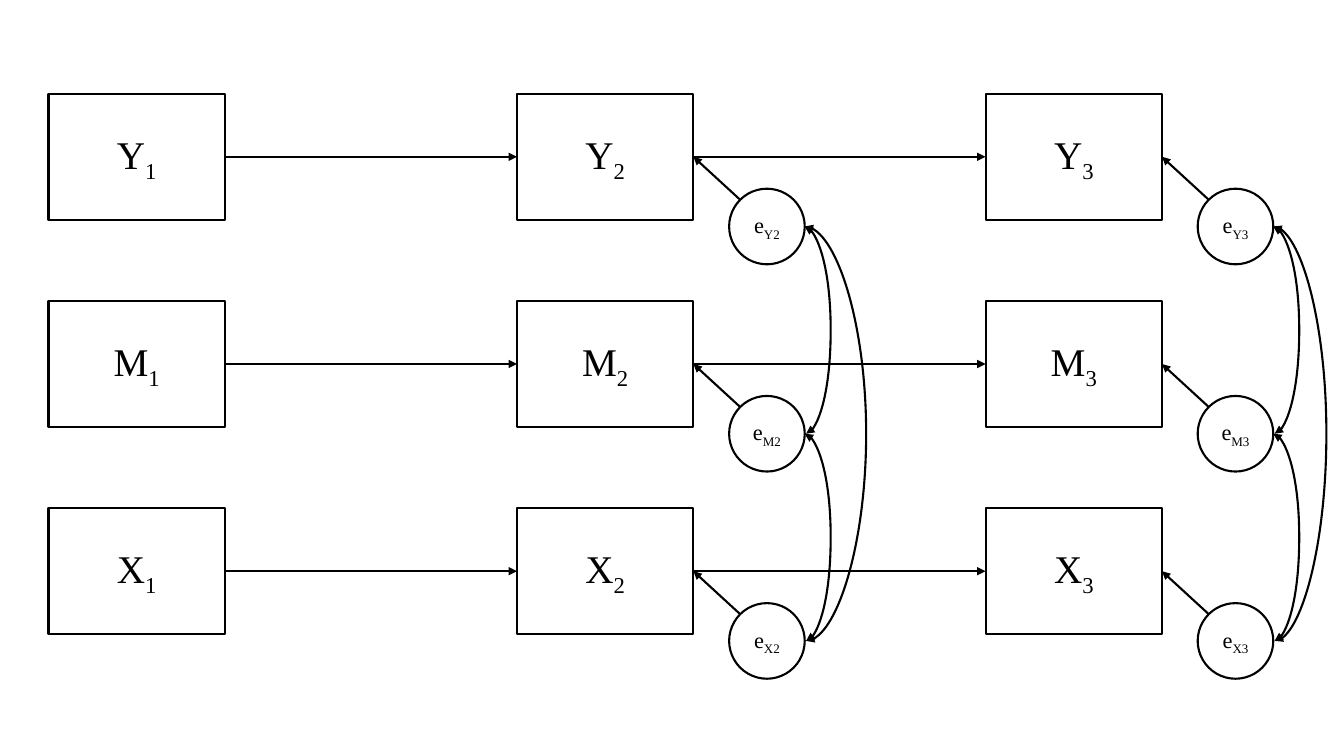
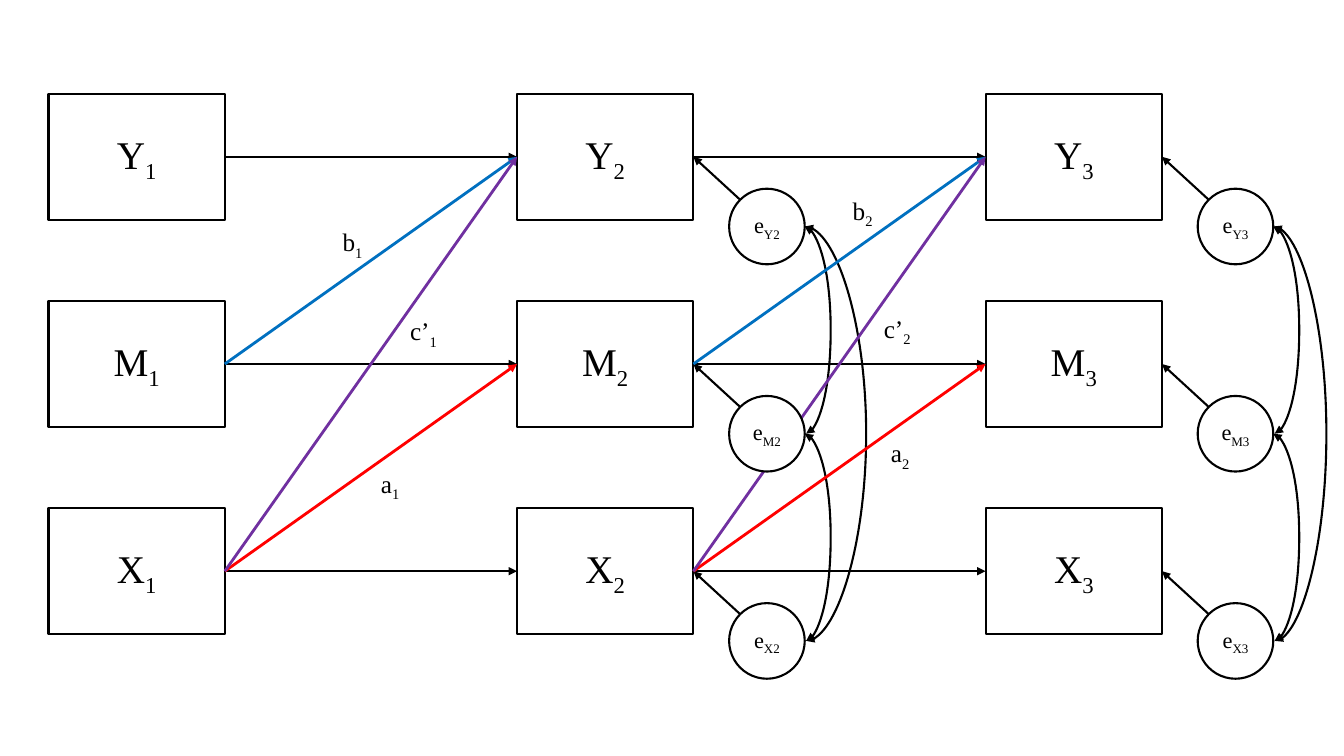
from lxml import etree
from pptx import Presentation
from pptx.dml.color import RGBColor
from pptx.enum.shapes import MSO_CONNECTOR, MSO_SHAPE
from pptx.enum.text import MSO_ANCHOR, PP_ALIGN
from pptx.oxml.ns import qn
from pptx.util import Pt

RECT, OVAL = MSO_SHAPE.RECTANGLE, MSO_SHAPE.OVAL
LINE, CURVE = MSO_CONNECTOR.STRAIGHT, MSO_CONNECTOR.CURVE
MIDDLE, CENTER = MSO_ANCHOR.MIDDLE, PP_ALIGN.CENTER

COLORS = {"black": "000000", "white": "FFFFFF", "red": "FF0000",
          "blue": "0070C0", "purple": "7030A0"}
FONT = "Times New Roman"
ROWS = ("Y", "M", "X")
WAVES = (1, 2, 3)

# Grid of boxes, and the error circles set off from each box
LEFT, TOP = 34.6, 67
STEP_X, STEP_Y = 334.7, 148
BOX_W, BOX_H = 126, 90
ROUND = 54
ERR_X, ERR_Y = BOX_W + 25.5, 67.8
CORNER = ROUND / 2 * (1 - 0.5 ** 0.5)

# Connection sites
BOX_LEFT, BOX_RIGHT = 1, 3
OVAL_CORNER, OVAL_RIGHT = 1, 6

# How far the curves swing out to the right
NEAR = 18.7
FAR = {2: 44.25, 3: 38.25}

# Effects: row from, row to, colour
EFFECTS = (("X", "M", "red"), ("M", "Y", "blue"), ("X", "Y", "purple"))

# Labels: letter, wave, left, top
LABELS = (
    ("a", 1, 265, 331), ("c’", 2, 624.2, 220.3), ("b", 2, 602, 136),
    ("a", 2, 629.3, 309), ("c’", 1, 285.8, 221.8), ("b", 1, 237.6, 158.4),
)


def color(name):
    return RGBColor.from_string(COLORS[name])


def corner(row, wave):
    """Top left point of a box."""
    return LEFT + (wave - 1) * STEP_X, TOP + ROWS.index(row) * STEP_Y


def style(target, values):
    for name, value in values.items():
        setattr(target, name, value)


def write(shape, base, sub, size, align=None):
    """Put a letter with a subscript into a shape."""
    para = shape.text_frame.paragraphs[0]
    para.alignment = align
    for text in (base, sub):
        run = para.add_run()
        run.text = text
        style(run.font, {"name": FONT, "size": Pt(size)})
        run.font.color.rgb = color("black")
    run.font._element.set("baseline", "-25000")


def node(slide, kind, frame, base, sub, size):
    """Outlined box or circle with centred text."""
    shape = slide.shapes.add_shape(kind, *map(Pt, frame))
    shape.shadow.inherit = False
    shape.fill.solid()
    shape.fill.fore_color.rgb = color("white")
    shape.line.color.rgb = color("black")
    shape.line.width = Pt(1.5)
    style(shape.text_frame, {
        "word_wrap": True, "vertical_anchor": MIDDLE,
        "margin_left": 0, "margin_right": 0})
    write(shape, base, sub, size, CENTER)
    return shape


def arrow(slide, kind, ends, tint="black", width=1.5, heads=("tailEnd",)):
    link = slide.shapes.add_connector(kind, *map(Pt, ends))
    link.line.color.rgb = color(tint)
    link.line.width = Pt(width)
    props = link._element.spPr
    for head in heads:
        etree.SubElement(props.find(qn("a:ln")), qn("a:" + head),
                         type="triangle")
    etree.SubElement(props, qn("a:effectLst"))
    return link


def glue(link, tag, shape, site):
    """Join a connector to a site of a circle."""
    part = link._element.find(".//" + qn("p:cNvCxnSpPr"))
    etree.SubElement(part, qn("a:" + tag), id=str(shape.shape_id),
                     idx=str(site))


def join(slide, start, end, **looks):
    """Straight arrow from one box to the next."""
    link = arrow(slide, LINE, (0, 0, 0, 0), **looks)
    link.begin_connect(start, BOX_RIGHT)
    link.end_connect(end, BOX_LEFT)


def error(slide, row, wave, box):
    """Error circle with its arrow to the box."""
    x, y = corner(row, wave)
    left, top = x + ERR_X, y + ERR_Y
    oval = node(slide, OVAL, (left, top, ROUND, ROUND),
                "e", f"{row}{wave}", 16)
    link = arrow(slide, LINE, (left + CORNER, top + CORNER,
                               x + BOX_W, y + BOX_H / 2))
    glue(link, "stCxn", oval, OVAL_CORNER)
    link.end_connect(box, BOX_RIGHT)
    return oval


def bow(slide, start, end, swing):
    """Curve with two heads between two circles."""
    x = (start.left + start.width) / Pt(1)
    y, low = ((oval.top + oval.height / 2) / Pt(1) for oval in (start, end))
    link = arrow(slide, CURVE, (x, y, x + 1, low),
                 heads=("headEnd", "tailEnd"))
    guides = link._element.spPr.find(".//" + qn("a:avLst"))
    # The frame is one point wide, so the swing in points is the ratio
    etree.SubElement(guides, qn("a:gd"), name="adj1",
                     fmla=f"val {round(swing * 100000)}")
    glue(link, "stCxn", start, OVAL_RIGHT)
    glue(link, "endCxn", end, OVAL_RIGHT)


def model(slide):
    """Boxes, paths in time and linked errors."""
    boxes = {(row, wave): node(slide, RECT,
                               (*corner(row, wave), BOX_W, BOX_H),
                               row, str(wave), 28)
             for wave in WAVES for row in ROWS}
    for row in ROWS:
        for wave in WAVES[:-1]:
            join(slide, boxes[row, wave], boxes[row, wave + 1])
    ovals = {(row, wave): error(slide, row, wave, boxes[row, wave])
             for wave in WAVES[1:] for row in ROWS}
    for wave, far in FAR.items():
        high, mid, low = (ovals[row, wave] for row in ROWS)
        bow(slide, high, mid, NEAR)
        bow(slide, mid, low, NEAR)
        bow(slide, high, low, far)
    return boxes, ovals


def effects(slide, boxes, ovals):
    """Coloured paths across the rows, with labels."""
    for start, end, tint in EFFECTS:
        for wave in WAVES[:-1]:
            join(slide, boxes[start, wave], boxes[end, wave + 1],
                 tint=tint, width=2)
    # The middle circle lies over the coloured paths
    item = ovals["M", 2]._element
    item.getparent().append(item)
    for base, wave, left, top in LABELS:
        label = slide.shapes.add_textbox(*map(Pt, (left, top, 38, 29)))
        label.text_frame.word_wrap = True
        write(label, base, str(wave), 18)


def main():
    deck = Presentation()
    style(deck, {"slide_width": Pt(960), "slide_height": Pt(540)})
    plain, full = (deck.slides.add_slide(deck.slide_layouts[6])
                   for _ in range(2))
    model(plain)
    effects(full, *model(full))
    deck.save("out.pptx")


if __name__ == "__main__":
    main()
